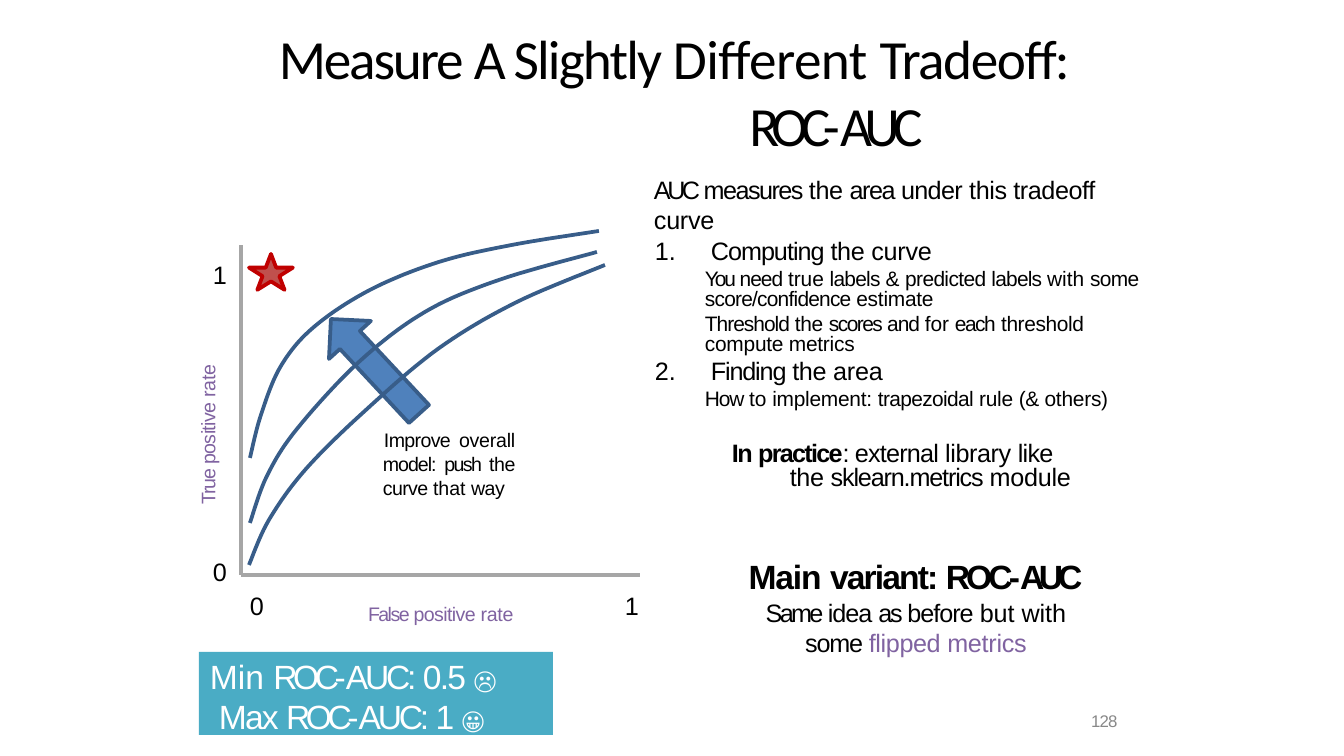
import dataclasses

import pptx
import pptx.dml.color
import pptx.enum.shapes
import pptx.enum.text
import pptx.oxml.ns
import pptx.util
from lxml import etree

SCALE = 914400 / 134.4
ALIGN = pptx.enum.text.PP_ALIGN
ANCHOR = pptx.enum.text.MSO_ANCHOR
SHAPE = pptx.enum.shapes.MSO_SHAPE


@dataclasses.dataclass(frozen=True)
class Theme:
    """Hold the colours, fonts and type sizes."""
    ink: str = "000000"
    white: str = "FFFFFF"
    accent: str = "8063A1"
    muted: str = "888888"
    axis: str = "A6A6A6"
    curve: str = "385D89"
    arrow: str = "4F81BC"
    star: str = "C0504D"
    star_line: str = "C00000"
    banner: str = "4AACC5"
    title_font: str = "Calibri"
    font: str = "Arial"
    emoji_font: str = "Roboto"
    title: float = 29.6
    large: float = 18
    body: float = 13.5
    detail: float = 11.2
    label: float = 10.5
    small: float = 9


THEME = Theme()


@dataclasses.dataclass(frozen=True)
class Box:
    """Describe a rectangle in pixels."""
    left: float
    top: float
    width: float
    height: float

    def inner(self, left, top, width, height):
        """Return a box placed relative to this one."""
        return Box(self.left + left, self.top + top, width, height)

    def point(self, x, y):
        """Return a relative point in EMU."""
        return px(self.left + x), px(self.top + y)

    def emu(self):
        """Return the four lengths in EMU."""
        return [px(value) for value in dataclasses.astuple(self)]


def px(pixels):
    """Turn pixels into EMU."""
    return pptx.util.Emu(round(pixels * SCALE))


def rgb(code):
    """Turn a hex code into a colour."""
    return pptx.dml.color.RGBColor.from_string(code)


def write(frame, words, size=THEME.body, color=THEME.ink, font=THEME.font, bold=False,
          align=ALIGN.LEFT, left=0, indent=0, line=None, before=0, number=None):
    """Add a paragraph of (text, letter spacing, optional overrides) words."""
    para = frame.paragraphs[0]
    if para.runs:
        para = frame.add_paragraph()
    para.alignment = align
    para.space_before = pptx.util.Pt(before)
    if line:
        para.line_spacing = line
    props = para._p.get_or_add_pPr()
    props.set("marL", str(px(left)))
    props.set("indent", str(px(indent)))
    if number:
        etree.SubElement(props, pptx.oxml.ns.qn("a:buAutoNum"),
                         type="arabicPeriod", startAt=str(number))
    for text, spacing, *extra in words:
        look = {"size": size, "color": color, "font": font, "bold": bold}
        look.update(*extra)
        span = para.add_run()
        span.text = text
        span.font.size = pptx.util.Pt(look["size"])
        span.font.name = look["font"]
        span.font.bold = look["bold"]
        span.font.color.rgb = rgb(look["color"])
        span._r.get_or_add_rPr().set("spc", str(round(spacing * 100)))


def prepare(shape, inset=1, anchor=ANCHOR.TOP):
    """Set margins, wrapping and growth, and return the text frame."""
    frame = shape.text_frame
    frame.margin_left = frame.margin_right = frame.margin_bottom = 0
    frame.margin_top = px(inset)
    frame.word_wrap = True
    frame.auto_size = pptx.enum.text.MSO_AUTO_SIZE.SHAPE_TO_FIT_TEXT
    frame.vertical_anchor = anchor
    return frame


def text_box(page, box, inset=1):
    """Add a text box and return its frame."""
    return prepare(page.shapes.add_textbox(*box.emu()), inset)


def paint(shape, fill=None, line=None, width=2):
    """Set fill and outline without a shadow."""
    shape.shadow.inherit = False
    for target, color in ((shape.fill, fill), (shape.line.fill, line)):
        if color:
            target.solid()
            target.fore_color.rgb = rgb(color)
        else:
            target.background()
    if line:
        shape.line.width = pptx.util.Pt(width)


def outline(page, box, paths, close=False):
    """Draw one freeform from lists of relative points."""
    paths = [[box.point(*point) for point in path] for path in paths]
    builder = page.shapes.build_freeform(*paths[0][0], scale=1.0)
    for index, path in enumerate(paths):
        if index:
            builder.move_to(*path[0])
        builder.add_line_segments(path[1:], close=close)
    return builder.convert_to_shape()


def smooth(knots, steps=10):
    """Sample a Catmull-Rom curve through the knots."""
    ends = [knots[0], *knots, knots[-1]]
    points = [knots[0]]
    for a, b, c, d in zip(ends, ends[1:], ends[2:], ends[3:]):
        for step in range(1, steps + 1):
            t = step / steps
            points.append(tuple(
                q + t / 2 * (r - p + t * (2 * p - 5 * q + 4 * r - s + t * (3 * q - p - 3 * r + s)))
                for p, q, r, s in zip(a, b, c, d)))
    return points


def add_title(page, box):
    """Place and fill the title."""
    title = page.shapes.title
    title.left, title.top, title.width, title.height = box.emu()
    write(prepare(title, anchor=ANCHOR.MIDDLE),
          [("Measure ", -1.2), ("A ", -2.6), ("Slightly ", -1), ("Different ", -0.3),
           ("Tradeoff: ", -0.8), ("ROC-", -3.9), ("AUC", -3.6)],
          size=THEME.title, font=THEME.title_font, align=ALIGN.CENTER,
          left=326, indent=-325, line=1.01, before=0.5)


def add_plot(page, box):
    """Draw the sketch of the ROC curves with its labels."""
    arrow = [(141, 119), (139, 159), (150, 149), (219, 223), (239, 205), (170, 131), (181, 121)]
    paint(outline(page, box, [arrow], close=True), THEME.arrow, THEME.curve)
    for end in ((51, 45), (450, 375)):
        axis = page.shapes.add_connector(pptx.enum.shapes.MSO_CONNECTOR.STRAIGHT,
                                         *box.point(51, 375), *box.point(*end))
        axis.line.color.rgb = rgb(THEME.axis)
        axis.line.width = pptx.util.Pt(2.25)
        etree.SubElement(axis._element.spPr, pptx.oxml.ns.qn("a:effectLst"))
    star = page.shapes.add_shape(SHAPE.STAR_5_POINT, *box.inner(59, 54, 44, 36).emu())
    paint(star, THEME.star, THEME.star_line)
    curves = [
        [(59, 365), (79, 320), (116, 269), (176, 210), (248, 149), (325, 103), (415, 65)],
        [(60, 323), (77, 276), (107, 229), (169, 162), (235, 112), (309, 80), (407, 52)],
        [(60, 258), (71, 215), (91, 166), (124, 127), (180, 90), (249, 62), (322, 45), (409, 31)],
    ]
    paint(outline(page, box, [smooth(knots) for knots in curves]), line=THEME.curve)
    rate = text_box(page, box.inner(9, 162, 20, 144), inset=0)
    rate._txBody.bodyPr.set("vert", "vert270")
    write(rate, [("True ", -0.6), ("positive ", -0.3), ("rate", -0.1)], size=THEME.label,
          color=THEME.accent, left=1, line=pptx.util.Pt(10.9))
    write(text_box(page, box.inner(177, 401, 148, 26)),
          [("False ", -0.8), ("positive ", -0.3), ("rate", -0.1)],
          size=THEME.label, color=THEME.accent, left=1, before=0.9)
    for x, y, tick in ((59, 389, "0"), (22, 355, "0"), (22, 58, "1"), (434, 389, "1")):
        write(text_box(page, box.inner(x, y, 16, 32)), [(tick, -0.7)], left=1, before=0.8)
    write(text_box(page, box.inner(192, 227, 133, 73)),
          [("Improve ", -0.3), ("overall ", -0.1), ("model: ", -0.5), ("push ", -0.8),
           ("the ", -0.2), ("curve ", -0.3), ("that ", 0), ("way", -0.2)],
          size=THEME.label, align=ALIGN.JUSTIFY, left=1, indent=1, line=1.01, before=0.9)


def add_notes(page, box):
    """Place the explanation, the practice hint and the main variant."""
    write(text_box(page, box.inner(0, 0, 503, 32)),
          [("AUC ", -1.8), ("measures ", -0.8), ("the ", -0.2), ("area ", -0.8),
           ("under ", -0.3), ("this tradeoff ", -0.2), ("curve", -0.1)], left=1, before=0.8)
    steps = text_box(page, box.inner(0, 61, 512, 180))
    item = {"left": 58, "indent": -56}
    detail = {"size": THEME.detail, "left": 52}
    write(steps, [("Computing ", -0.5), ("the ", -0.2), ("curve", -0.1)],
          before=0.8, number=1, **item)
    write(steps, [("You ", -1.1), ("need ", -0.5), ("true ", 0), ("labels ", -0.4), ("& ", 0),
                  ("predicted ", -0.3), ("labels ", -0.4), ("with ", 0), ("some ", -0.3),
                  ("score/confidence ", -0.4), ("estimate", -0.1)],
          line=0.79, before=2.9, **detail)
    write(steps, [("Threshold ", -0.5), ("the ", -0.1), ("scores ", -0.8), ("and ", -0.5),
                  ("for ", 0), ("each", -0.8), (" threshold ", -0.2), ("compute metrics", -0.1)],
          line=0.79, before=2.8, **detail)
    write(steps, [("Finding ", -0.6), ("the ", -0.2), ("area", -0.1)], number=2, **item)
    write(steps, [("How ", -0.6), ("to ", 0), ("implement: ", -0.1), ("trapezoidal ", -0.3),
                  ("rule ", -0.1), ("(& ", -0.2), ("others)", -0.1)], before=0.1, **detail)
    strong = {"bold": True}
    write(text_box(page, box.inner(78, 262, 360, 56), inset=8),
          [("In ", -0.8, strong), ("practice", -0.9, strong), (": ", -0.9), ("external ", -0.4),
           ("library ", -0.2), ("like ", -0.4), ("the ", -0.2), ("sklearn.metrics ", -0.6),
           ("module", -0.1)], left=59, indent=-58, line=0.8, before=4)
    variant = text_box(page, box.inner(81, 382, 363, 102))
    write(variant, [("Main ", -0.6), ("variant: ", -1), ("ROC-", -2.1), ("AUC", -2.8)],
          size=THEME.large, bold=True, align=ALIGN.CENTER, before=0.8)
    flipped = {"color": THEME.accent}
    write(variant, [("Same ", -1.4), ("idea ", -0.5), ("as ", -1.2), ("before ", -0.5),
                    ("but with ", 0), ("some ", -0.6), ("flipped ", -0.2, flipped),
                    ("metrics", -0.1, flipped)],
          align=ALIGN.CENTER, left=1, line=1.01, before=0.2)


def add_banner(page, box):
    """Draw the banner with the lowest and highest score."""
    banner = page.shapes.add_shape(SHAPE.RECTANGLE, *box.emu())
    paint(banner, THEME.banner)
    frame = prepare(banner, inset=4)
    emoji = {"size": THEME.body, "font": THEME.emoji_font}
    look = {"size": THEME.large, "color": THEME.white, "line": pptx.util.Pt(21.5)}
    write(frame, [("Min ", 0), ("ROC-", -2.4), ("AUC: ", -1.7), ("0.5 ", -0.9),
                  ("\u2639\ufe0f", 2.3, emoji)], left=11, before=2.1, **look)
    write(frame, [("Max ", -1), ("ROC-", -2.4), ("AUC: ", -1.7), ("1 ", -1),
                  ("\U0001F600", 4.6, emoji)], left=20, **look)


def add_page_number(page, box):
    """Place the page number."""
    write(text_box(page, box), [("128", -0.4)], size=THEME.small, color=THEME.muted,
          left=1, before=0.8)


deck = pptx.Presentation()
deck.slide_width, deck.slide_height = px(1344), px(756)
page = deck.slides.add_slide(deck.slide_layouts[5])
add_title(page, Box(241, 23, 864, 134))
add_plot(page, Box(190, 200, 450, 440))
add_notes(page, Box(653, 173, 512, 484))
add_banner(page, Box(199, 652, 354, 83))
add_page_number(page, Box(1090, 710, 28, 22))
deck.save("out.pptx")
